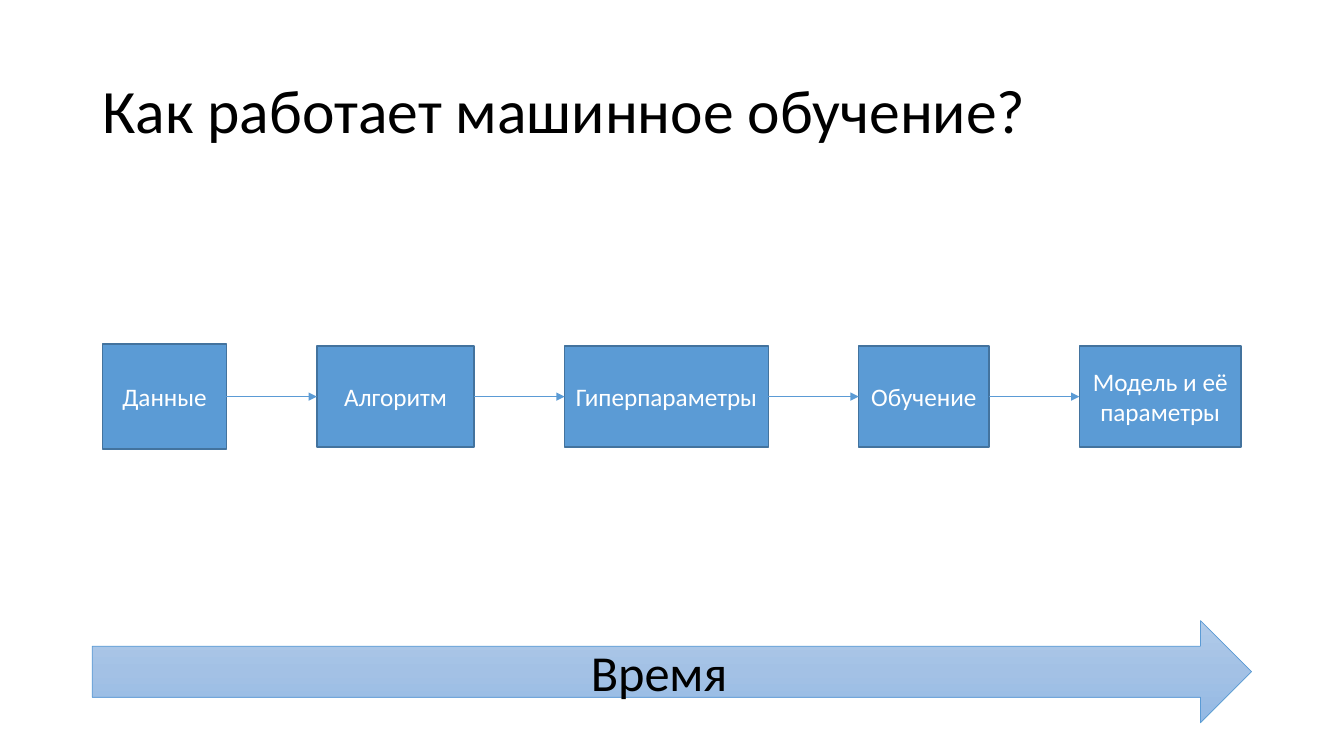
from copy import deepcopy

from pptx import Presentation
from pptx.dml.color import RGBColor
from pptx.enum.shapes import MSO_CONNECTOR, MSO_SHAPE
from pptx.enum.text import MSO_ANCHOR, PP_ALIGN
from pptx.oxml.ns import qn
from pptx.util import Pt

RECTANGLE = MSO_SHAPE.RECTANGLE
RIGHT_ARROW = MSO_SHAPE.RIGHT_ARROW
STRAIGHT = MSO_CONNECTOR.STRAIGHT
MIDDLE = MSO_ANCHOR.MIDDLE
LEFT = PP_ALIGN.LEFT
CENTER = PP_ALIGN.CENTER

BLACK = RGBColor(0x00, 0x00, 0x00)
WHITE = RGBColor(0xFF, 0xFF, 0xFF)
BLUE = RGBColor(0x5B, 0x9B, 0xD5)
DARK_BLUE = RGBColor(0x43, 0x73, 0x9E)
TIME_GRADIENT = [
    (0, RGBColor(0xB1, 0xCB, 0xE9)),
    (0.5, RGBColor(0xA3, 0xC1, 0xE5)),
    (1, RGBColor(0x93, 0xB9, 0xE4)),
]

FONT = "Calibri"
RIGHT_SITE, LEFT_SITE = 3, 1
STEPS = [
    ("Данные", 88.5, 75),
    ("Алгоритм", 112.3, 72),
    ("Гиперпараметры", 145.5, 72),
    ("Обучение", 93, 72),
    ("Модель и её параметры", 115.4, 72),
]


def write(shape, text, size, color, alignment):
    frame = shape.text_frame
    frame.text = text
    frame.word_wrap = True
    frame.vertical_anchor = MIDDLE
    paragraph = frame.paragraphs[0]
    paragraph.alignment = alignment
    font = paragraph.runs[0].font
    font.name = FONT
    font.size = Pt(size)
    font.color.rgb = color


def add_title(slide, left, top, width, height):
    title = slide.shapes.title
    title.left, title.top = Pt(left), Pt(top)
    title.width, title.height = Pt(width), Pt(height)
    write(title, "Как работает машинное обучение?", 44, BLACK, LEFT)
    title.text_frame.paragraphs[0].line_spacing = 0.9


def add_outlined_shape(slide, kind, box, line_color, line_width):
    shape = slide.shapes.add_shape(kind, *map(Pt, box))
    shape.shadow.inherit = False
    shape.line.color.rgb = line_color
    shape.line.width = Pt(line_width)
    return shape


def add_time_arrow(slide, left, top, width, height):
    arrow = add_outlined_shape(
        slide, RIGHT_ARROW, (left, top, width, height), BLUE, 0.5
    )
    arrow.fill.gradient()
    arrow.fill.gradient_angle = 270
    stop_list = arrow._element.spPr.find(".//" + qn("a:gsLst"))
    stop_list.append(deepcopy(stop_list[-1]))
    for stop, (position, color) in zip(arrow.fill.gradient_stops, TIME_GRADIENT):
        stop.position = position
        stop.color.rgb = color
    write(arrow, "Время", 36, BLACK, CENTER)


def connect(slide, source, target):
    connector = slide.shapes.add_connector(STRAIGHT, 0, 0, 0, 0)
    connector.begin_connect(source, RIGHT_SITE)
    connector.end_connect(target, LEFT_SITE)
    connector.line.color.rgb = BLUE
    connector.line.width = Pt(0.5)
    line = connector.line._get_or_add_ln()
    line.makeelement(qn("a:tailEnd"), {})
    tail = line.makeelement(qn("a:tailEnd"), {"type": "triangle"})
    line.append(tail)
    properties = connector._element.spPr
    properties.append(properties.makeelement(qn("a:effectLst"), {}))


def add_process(slide, left, top, width, height):
    gap = (width - sum(step[1] for step in STEPS)) / (len(STEPS) - 1)
    boxes = []
    for label, box_width, box_height in STEPS:
        box_top = top + (height - box_height) / 2
        box = add_outlined_shape(
            slide, RECTANGLE, (left, box_top, box_width, box_height), DARK_BLUE, 1
        )
        box.fill.solid()
        box.fill.fore_color.rgb = BLUE
        write(box, label, 18, WHITE, CENTER)
        boxes.append(box)
        left += box_width + gap
    for source, target in zip(boxes, boxes[1:]):
        connect(slide, source, target)


def main():
    presentation = Presentation()
    presentation.slide_width = Pt(960)
    presentation.slide_height = Pt(540)
    slide = presentation.slides.add_slide(presentation.slide_layouts[5])
    add_title(slide, 66, 28.75, 828, 104.4)
    add_time_arrow(slide, 66, 443.3, 828, 73)
    add_process(slide, 73.3, 245.8, 813.1, 75)
    presentation.save("out.pptx")


if __name__ == "__main__":
    main()
